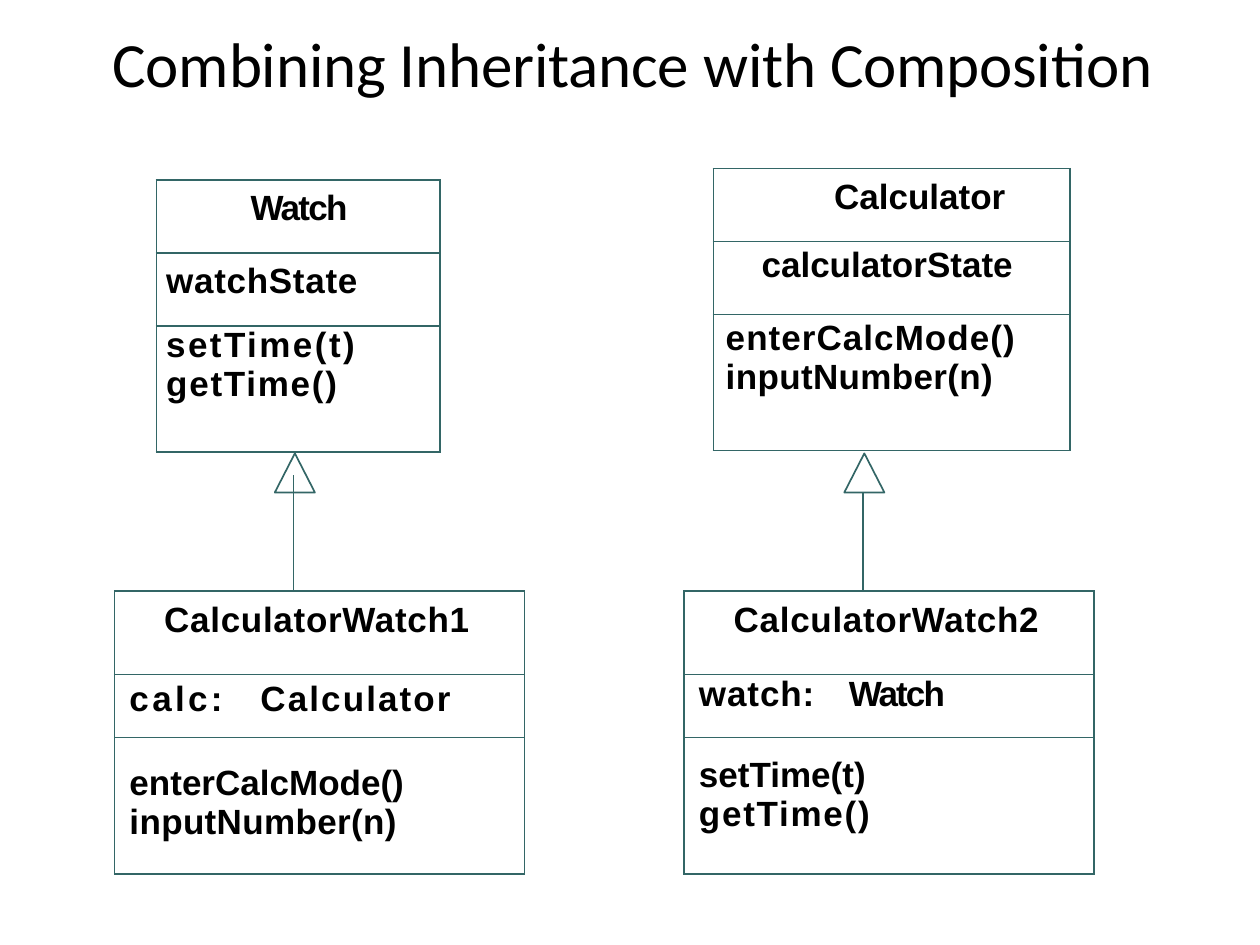
from dataclasses import dataclass

from lxml import etree
from pptx import Presentation
from pptx.dml.color import RGBColor
from pptx.enum.shapes import MSO_SHAPE
from pptx.enum.text import MSO_ANCHOR, PP_ALIGN
from pptx.oxml.ns import qn
from pptx.util import Cm, Pt

BLACK = RGBColor(0x00, 0x00, 0x00)
WHITE = RGBColor(0xFF, 0xFF, 0xFF)
TEAL = RGBColor(0x33, 0x66, 0x66)
TRIANGLE = MSO_SHAPE.ISOSCELES_TRIANGLE
LEFT, RIGHT, CENTER = PP_ALIGN.LEFT, PP_ALIGN.RIGHT, PP_ALIGN.CENTER
MIDDLE = MSO_ANCHOR.MIDDLE
ALL_SIDES = "LRTB"


@dataclass(frozen=True)
class Span:
    text: str
    spacing: float = 0


@dataclass(frozen=True)
class Compartment:
    """One row of a class box; margins and tab stop are in centimetres."""
    height: float
    lines: tuple[tuple[Span, ...], ...]
    top: float = 0
    left: float = 0
    right: float = 0
    align: PP_ALIGN = LEFT
    tab: float | None = None


@dataclass(frozen=True)
class ClassBox:
    left: float
    top: float
    columns: tuple[float, ...]
    compartments: tuple[Compartment, ...]
    stem: float = 0  # height of the row whose middle border links to the parent


def subclass_box(left: float, name: str, attribute: Compartment,
                 methods: Compartment) -> ClassBox:
    title = Compartment(1.69, ((Span(name, 0.4),),), top=0.2, left=1)
    return ClassBox(left, 9.58, (3.61, 4.65), (title, attribute, methods), stem=2.33)


CLASS_BOXES = (
    ClassBox(14.38, 3.4, (7.19,), (
        Compartment(1.47, ((Span("Calculator"),),), top=0.18, right=1.3, align=RIGHT),
        Compartment(1.47, ((Span("calculatorState"),),), top=0.08, right=1.15, align=RIGHT),
        Compartment(2.74, ((Span("enterCalcMode()", 0.6),),
                           (Span("inputNumber(n)", 0.2),)), top=0.08, left=0.25),
    )),
    ClassBox(3.15, 3.63, (5.72,), (
        Compartment(1.47, ((Span("Watch", -1),),), top=0.18, left=1.9),
        Compartment(1.47, ((Span("watchState", 0.4),),), top=0.18, left=0.2),
        Compartment(2.54, ((Span("setTime(t)", 1.4),),
                           (Span("getTime()", 1),)), left=0.2),
    )),
    subclass_box(
        2.31, "CalculatorWatch1",
        Compartment(1.27, ((Span("calc:\t", 1.9), Span("Calculator", 1.2)),),
                    top=0.1, left=0.3, tab=2.64),
        Compartment(2.75, ((Span("enterCalcMode()"),),
                           (Span("inputNumber(n)", 0.2),)), top=0.53, left=0.3)),
    subclass_box(
        13.79, "CalculatorWatch2",
        Compartment(1.27, ((Span("watch:\t", 0.5), Span("Watch", -1.1)),),
                    left=0.3, tab=3.02),
        Compartment(2.75, ((Span("setTime(t)"),),
                           (Span("getTime()", 1),)), top=0.36, left=0.3)),
)


def add_run(paragraph, span: Span, font_name: str, size: float, bold: bool) -> None:
    run = paragraph.add_run()
    run.text = span.text
    font = run.font
    font.name, font.size, font.bold = font_name, Pt(size), bold
    font.color.rgb = BLACK
    if span.spacing:
        font._element.set("spc", str(round(span.spacing * 100)))


def style_cell(cell, visible_sides: str) -> None:
    """Draw the given sides (letters of LRTB) and clear the fill."""
    properties = cell._tc.get_or_add_tcPr()
    for side in ALL_SIDES:
        line = etree.SubElement(properties, qn(f"a:ln{side}"), w=str(Pt(1)))
        if side in visible_sides:
            fill = etree.SubElement(line, qn("a:solidFill"))
            etree.SubElement(fill, qn("a:srgbClr"), val=str(TEAL))
        else:
            etree.SubElement(line, qn("a:noFill"))
    cell.fill.background()


def fill_cell(cell, compartment: Compartment) -> None:
    cell.margin_top = Cm(compartment.top)
    cell.margin_left = Cm(compartment.left)
    cell.margin_right = Cm(compartment.right)
    cell.margin_bottom = 0
    frame = cell.text_frame
    for index, spans in enumerate(compartment.lines):
        paragraph = frame.add_paragraph() if index else frame.paragraphs[0]
        paragraph.alignment = compartment.align
        if compartment.tab is not None:
            tabs = etree.SubElement(paragraph._p.get_or_add_pPr(), qn("a:tabLst"))
            etree.SubElement(tabs, qn("a:tab"), pos=str(Cm(compartment.tab)), algn="l")
        for span in spans:
            add_run(paragraph, span, "Arial", 20, True)


def add_class_box(slide, box: ClassBox) -> None:
    heights = [compartment.height for compartment in box.compartments]
    if box.stem:
        heights.insert(0, box.stem)
    first_row = len(heights) - len(box.compartments)
    table = slide.shapes.add_table(
        len(heights), len(box.columns), Cm(box.left), Cm(box.top),
        Cm(sum(box.columns)), Cm(sum(heights))).table
    table.first_row = table.horz_banding = False
    for column, width in zip(table.columns, box.columns):
        column.width = Cm(width)
    for row, height in zip(table.rows, heights):
        row.height = Cm(height)

    if box.stem:
        style_cell(table.cell(0, 0), "RB")
        style_cell(table.cell(0, 1), "LB")
    last_column = len(box.columns) - 1
    for row_index, compartment in enumerate(box.compartments, first_row):
        cell = table.cell(row_index, 0)
        if last_column:
            cell.merge(table.cell(row_index, last_column))
        for column_index in range(last_column + 1):
            style_cell(table.cell(row_index, column_index), ALL_SIDES)
        fill_cell(cell, compartment)


def add_inheritance_triangle(slide, left: float, fill: RGBColor | None) -> None:
    triangle = slide.shapes.add_shape(TRIANGLE, Cm(left), Cm(9.14), Cm(0.81), Cm(0.79))
    triangle.shadow.inherit = False
    if fill is None:
        triangle.fill.background()
    else:
        triangle.fill.solid()
        triangle.fill.fore_color.rgb = fill
    triangle.line.color.rgb = TEAL
    triangle.line.width = Pt(0.96)


def add_title(slide, text: str) -> None:
    frame = slide.shapes.add_textbox(Cm(2.16), Cm(0.46), Cm(21.18), Cm(1.6)).text_frame
    frame.word_wrap = True
    frame.vertical_anchor = MIDDLE
    frame.margin_left = frame.margin_right = frame.margin_top = frame.margin_bottom = 0
    paragraph = frame.paragraphs[0]
    paragraph.alignment = CENTER
    add_run(paragraph, Span(text, -0.1), "Calibri", 36, False)


def main() -> None:
    presentation = Presentation()
    presentation.slide_width, presentation.slide_height = Cm(25.4), Cm(19.05)
    slide = presentation.slides.add_slide(presentation.slide_layouts[6])
    for box in CLASS_BOXES:
        add_class_box(slide, box)
    add_inheritance_triangle(slide, 5.54, None)
    add_inheritance_triangle(slide, 17.02, WHITE)
    add_title(slide, "Combining Inheritance with Composition")
    presentation.save("out.pptx")


if __name__ == "__main__":
    main()
